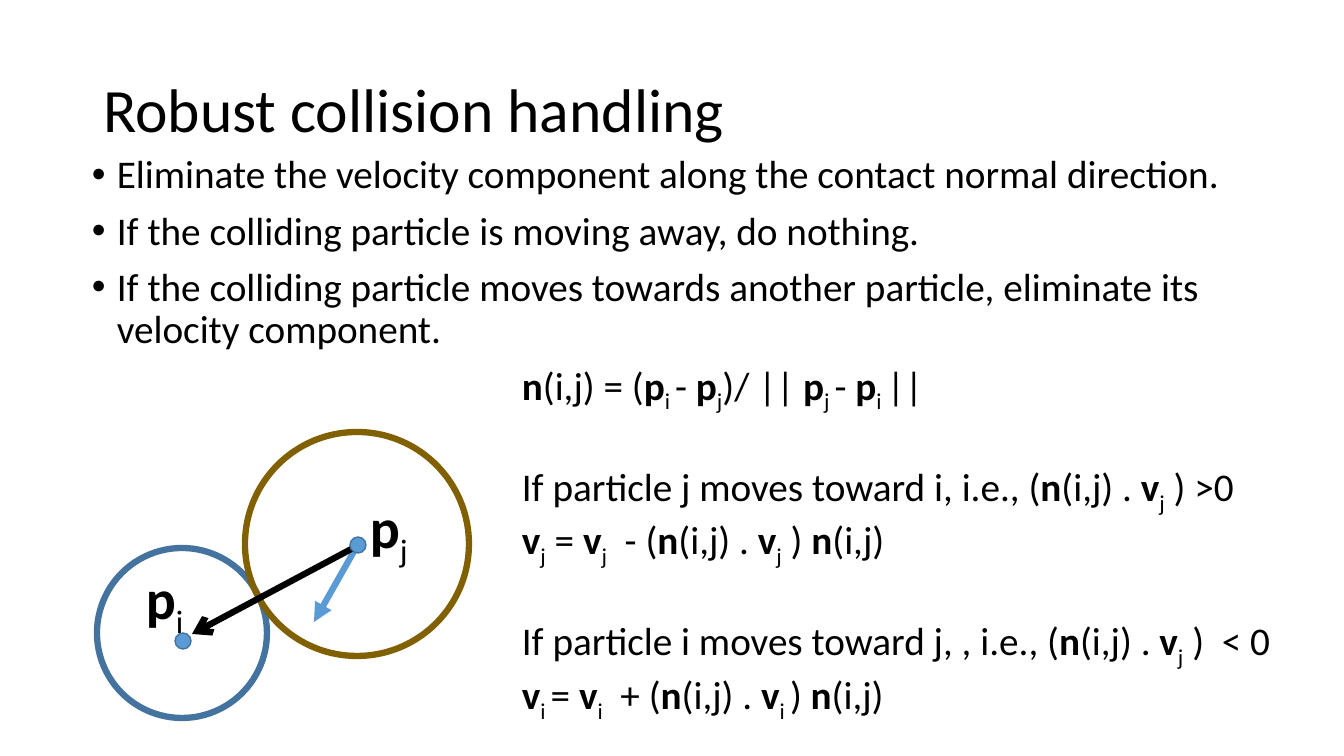
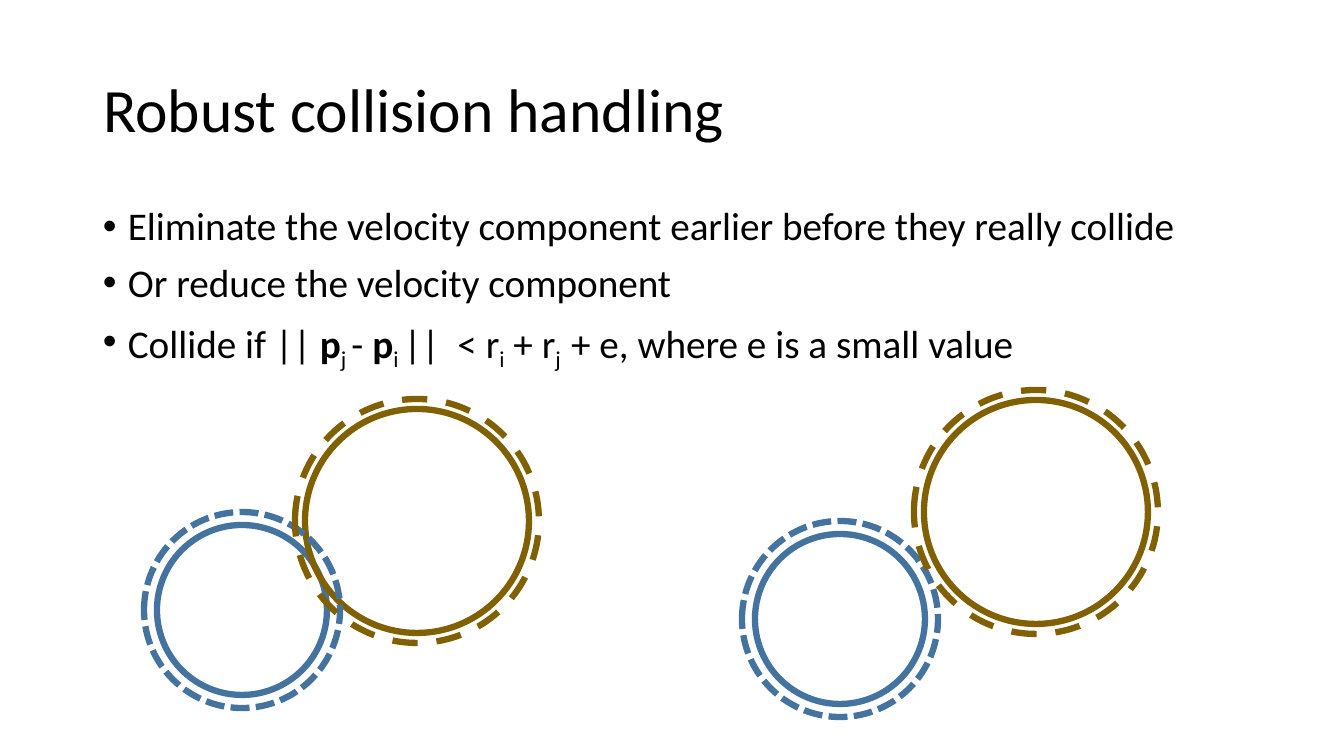
from lxml.etree import SubElement
from pptx import Presentation
from pptx.dml.color import RGBColor
from pptx.enum.dml import MSO_LINE as Dash
from pptx.enum.shapes import MSO_CONNECTOR as Link, MSO_SHAPE as Shape
from pptx.enum.text import MSO_ANCHOR as Anchor, MSO_AUTO_SIZE as Fit, PP_ALIGN as Align
from pptx.oxml.ns import qn
from pptx.util import Emu, Pt

BLACK = RGBColor(0x00, 0x00, 0x00)
BLUE = RGBColor(0x43, 0x73, 0x9E)
SKY = RGBColor(0x5B, 0x9B, 0xD5)
BROWN = RGBColor(0x80, 0x60, 0x00)
FONT = "Calibri"
TITLE = "Robust collision handling"
SCALE = 914400 / 100.8
INDENT = 25
SMALL, LARGE = 170, 224


def px(*lengths):
    return [Emu(round(length * SCALE)) for length in lengths]


class Deck:
    def __init__(self):
        self.deck = Presentation()
        self.deck.slide_width, self.deck.slide_height = px(1344, 756)
        self.page = None

    def add_page(self, title):
        self.page = self.deck.slides.add_slide(self.deck.slide_layouts[5])
        box = self.page.shapes.title
        box.left, box.top, box.width, box.height = px(93, 40, 1159, 146)
        frame = box.text_frame
        frame.auto_size = Fit.NONE
        frame.vertical_anchor = Anchor.MIDDLE
        para = frame.paragraphs[0]
        para.alignment = Align.LEFT
        para.line_spacing = 0.9
        self.add_spans(para, title, 44)

    def add_spans(self, para, marked, size):
        """Asterisks enclose bold text, underscores enclose subscripts."""
        for i, chunk in enumerate(marked.split("*")):
            for j, piece in enumerate(chunk.split("_")):
                if piece:
                    span = para.add_run()
                    span.text = piece
                    font = span.font
                    font.name, font.size, font.bold = FONT, Pt(size), i % 2 == 1
                    font.color.rgb = BLACK
                    if j % 2:
                        span.font._element.set("baseline", "-25000")

    def text(self, area, lines, size=28, wrap=True):
        frame = self.page.shapes.add_textbox(*px(*area)).text_frame
        frame.word_wrap = wrap
        paras = [frame.paragraphs[0]] + [frame.add_paragraph() for _ in lines[1:]]
        for para, line in zip(paras, lines):
            self.add_spans(para, line, size)
        return paras

    def bullets(self, area, lines):
        for para in self.text(area, lines):
            para.line_spacing = 0.9
            para.space_before = Pt(10)
            props = para._p.get_or_add_pPr()
            margin, = px(INDENT)
            props.set("marL", str(margin))
            props.set("indent", str(-margin))
            SubElement(props, qn("a:buFont"), typeface="Arial")
            SubElement(props, qn("a:buChar"), char="•")

    def circle(self, left, top, size, color, weight=4.5, fill=None, dash=None):
        ring = self.page.shapes.add_shape(Shape.OVAL, *px(left, top, size, size))
        ring.shadow.inherit = False
        ring.line.color.rgb = color
        ring.line.width = Pt(weight)
        if dash:
            ring.line.dash_style = dash
        if fill:
            ring.fill.solid()
            ring.fill.fore_color.rgb = fill
        else:
            ring.fill.background()

    def halo(self, left, top, size, color, gap, dash):
        self.circle(left - gap, top - gap, size + 2 * gap, color, dash=dash)

    def arrow(self, start, end, color, head):
        arrow = self.page.shapes.add_connector(Link.STRAIGHT, *px(*start, *end))
        arrow.line.color.rgb = color
        arrow.line.width = Pt(4.5)
        props = arrow._element.spPr
        SubElement(props.find(qn("a:ln")), qn("a:tailEnd"), type=head)
        SubElement(props, qn("a:effectLst"))


show = Deck()

show.add_page(TITLE)
show.bullets((82, 150, 1232, 200), [
    "Eliminate the velocity component along the contact normal direction.",
    "If the colliding particle is moving away, do nothing.",
    "If the colliding particle moves towards another particle, eliminate its velocity component.",
])
show.circle(97, 548, SMALL, BLUE)
show.circle(245, 432, LARGE, BROWN)
center = (357, 546)
show.arrow(center, (314, 622), SKY, "triangle")
show.arrow(center, (192, 634), BLACK, "arrow")
formulas = show.text((512, 356, 804, 380), [
    "*n*(i,j) = (*p*_i _- *p*_j_)/ || *p*_j _- *p*_i _||",
    "If particle j moves toward i, i.e., (*n*(i,j) . *v*_j_ ) >0",
    "*v*_j_ = *v*_j_  - (*n*(i,j) . *v*_j_ ) *n*(i,j)",
    "If particle i moves toward j, , i.e., (*n*(i,j) . *v*_j_ )  < 0",
    "*v*_i _= *v*_i_  + (*n*(i,j) . *v*_i _) *n*(i,j)",
])
for condition in formulas[1::2]:
    condition.space_before = Pt(34)
for left, top, name in ((360, 488, "j"), (136, 559, "i")):
    show.text((left, top, 59, 78), [f"*p*_{name}_"], 40, wrap=False)
for left, top in ((175, 633), (350, 537)):
    show.circle(left, top, 16, BLUE, weight=1, fill=SKY)

show.add_page(TITLE)
show.bullets((93, 202, 1159, 480), [
    "Eliminate the velocity component earlier before they really collide",
    "Or reduce the velocity component ",
    "Collide if || *p*_j _-* p*_i _||  < r_i_ + r_j  _+ e, where e is a small value",
])
for blue_spot, brown_spot in (((157, 525), (305, 409)), ((755, 534), (924, 400))):
    show.circle(*blue_spot, SMALL, BLUE)
    show.circle(*brown_spot, LARGE, BROWN)
    show.halo(*blue_spot, SMALL, BLUE, 13, Dash.SQUARE_DOT)
    show.halo(*brown_spot, LARGE, BROWN, 10, Dash.DASH)

show.deck.save("out.pptx")
